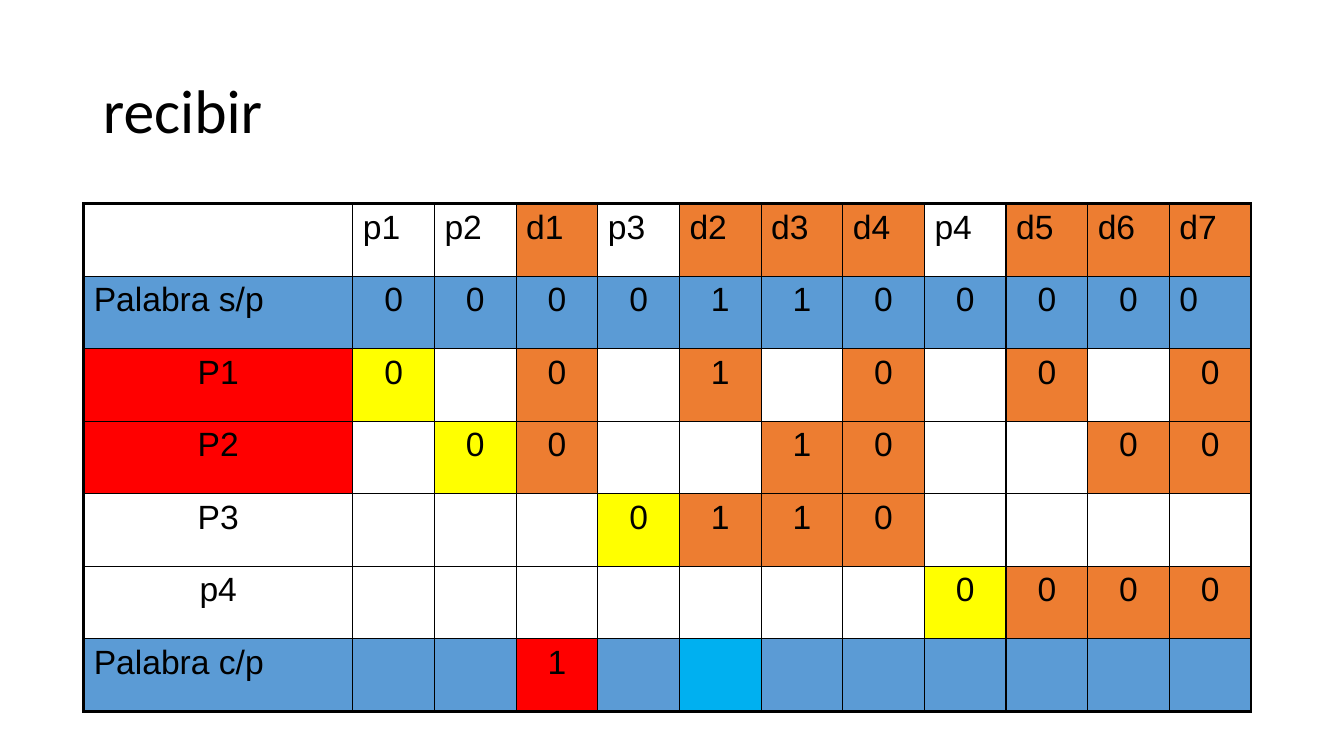
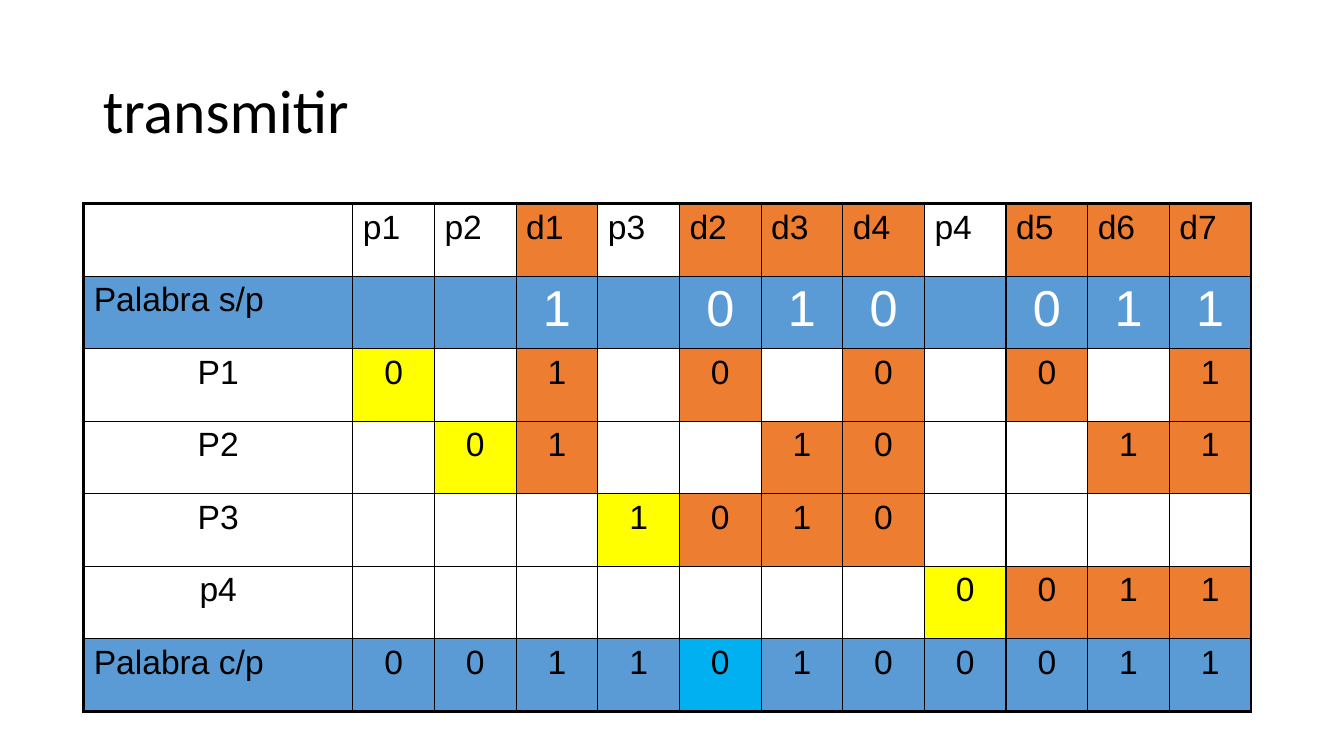
from lxml.etree import SubElement
from pptx import Presentation
from pptx.dml.color import RGBColor
from pptx.enum.text import MSO_ANCHOR, PP_ALIGN
from pptx.oxml.ns import qn
from pptx.util import Inches, Pt

BLACK = RGBColor(0x00, 0x00, 0x00)
WHITE = RGBColor(0xFF, 0xFF, 0xFF)
BLUE = RGBColor(0x5B, 0x9B, 0xD5)
ORANGE = RGBColor(0xED, 0x7D, 0x31)
YELLOW = RGBColor(0xFF, 0xFF, 0x00)
RED = RGBColor(0xFF, 0x00, 0x00)
CYAN = RGBColor(0x00, 0xB0, 0xF0)

# Hamming code: bit names across, one string of bits per row, "." for an empty cell
BITS = ["p1", "p2", "d1", "p3", "d2", "d3", "d4", "p4", "d5", "d6", "d7"]
LABELS = ["Palabra s/p", "P1", "P2", "P3", "p4", "Palabra c/p"]
SENT, CODED = 1, len(LABELS)
D1, D2, D7 = (BITS.index(b) + 1 for b in ("d1", "d2", "d7"))

# fills, aligns and big_row hold the exceptions to the table rules, by (row, column)
SLIDES = [
    dict(title="recibir",
         rows=["00001100000", "0.0.1.0.0.0", ".00..10..00",
               "...0110....", ".......0000", "..1........"],
         fills={(2, 0): RED, (3, 0): RED, (CODED, D1): RED},
         aligns={(SENT, D7): PP_ALIGN.LEFT}, big_row=None),
    dict(title="transmitir",
         rows=["..1.010.011", "0.1.0.0.0.1", ".01..10..11",
               "...1010....", ".......0011", "00110100011"],
         fills={}, aligns={}, big_row=SENT),
]

TITLE_BOX = [Inches(v) for v in (0.92, 0.4, 11.5, 1.45)]
LEFT, TOP = Inches(0.83), Inches(2.02)
LABEL_W, BIT_W, ROW_H = Inches(2.67), Inches(0.81), Inches(0.72)
THIN, THICK = Pt(1), Pt(2.25)


def add_title(slide, text):
    """Place and format the title placeholder."""
    sp = slide.shapes.title
    sp.left, sp.top, sp.width, sp.height = TITLE_BOX
    tf = sp.text_frame
    tf.text = text
    tf.vertical_anchor = MSO_ANCHOR.MIDDLE
    p = tf.paragraphs[0]
    p.alignment = PP_ALIGN.LEFT
    p.line_spacing = 0.9
    set_font(p, "Calibri", 44, BLACK)


def set_font(p, name, size, color):
    """Set the font of a whole paragraph."""
    p.font.name, p.font.size = name, Pt(size)
    p.font.color.rgb = color


def set_borders(cell, **widths):
    """Draw black cell borders, with one width per side."""
    tc_pr = cell._tc.get_or_add_tcPr()
    for side, width in widths.items():
        ln = SubElement(tc_pr, qn(f"a:ln{side}"), w=str(width))
        fill = SubElement(ln, qn("a:solidFill"))
        SubElement(fill, qn("a:srgbClr"), val=str(BLACK))


def cell_fill(row, col, text):
    """Give the fill that a cell gets by its row and bit."""
    if row in (SENT, CODED):
        return CYAN if (row, col) == (CODED, D2) else BLUE
    if col == 0 or not text:
        return WHITE
    if BITS[col - 1].startswith("d"):
        return ORANGE
    return YELLOW if row else WHITE


def cell_align(row, col):
    """Centre the bits and parity labels; keep header and word labels left."""
    left = row == 0 or (col == 0 and row in (SENT, CODED))
    return PP_ALIGN.LEFT if left else PP_ALIGN.CENTER


def add_bit_table(slide, rows, fills, aligns, big_row):
    """Add the table of parity checks."""
    grid = [[""] + BITS]
    grid += [[label] + list(bits.replace(".", " "))
             for label, bits in zip(LABELS, rows)]
    n_rows, n_cols = len(grid), len(grid[0])
    table = slide.shapes.add_table(
        n_rows, n_cols, LEFT, TOP,
        LABEL_W + BIT_W * len(BITS), ROW_H * n_rows).table
    table.first_row = table.horz_banding = False
    for i, column in enumerate(table.columns):
        column.width = BIT_W if i else LABEL_W
    for r, texts in enumerate(grid):
        table.rows[r].height = ROW_H
        for c, text in enumerate(texts):
            text = text.strip()
            cell = table.cell(r, c)
            set_borders(cell,
                        L=THIN if c else THICK,
                        R=THICK if c == n_cols - 1 else THIN,
                        T=THIN if r else THICK,
                        B=THICK if r == n_rows - 1 else THIN)
            cell.fill.solid()
            cell.fill.fore_color.rgb = fills.get((r, c), cell_fill(r, c, text))
            if not text:
                continue
            cell.text = text
            p = cell.text_frame.paragraphs[0]
            p.alignment = aligns.get((r, c), cell_align(r, c))
            big = r == big_row and c > 0
            set_font(p, "Arial", 36 if big else 24, WHITE if big else BLACK)


prs = Presentation()
prs.slide_width, prs.slide_height = Inches(13.33), Inches(7.5)
title_only = prs.slide_layouts.get_by_name("Title Only")
for content in SLIDES:
    slide = prs.slides.add_slide(title_only)
    add_title(slide, content["title"])
    add_bit_table(slide, content["rows"], content["fills"],
                  content["aligns"], content["big_row"])
prs.save("out.pptx")
